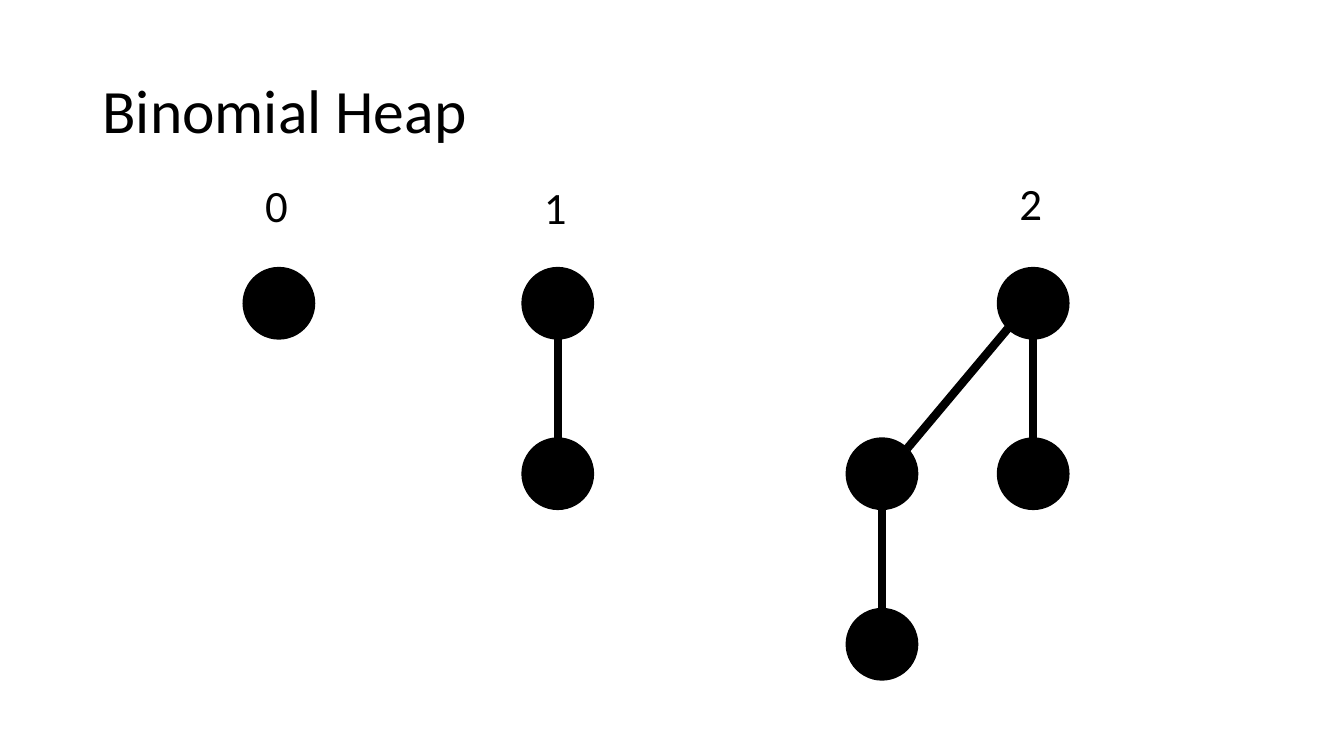
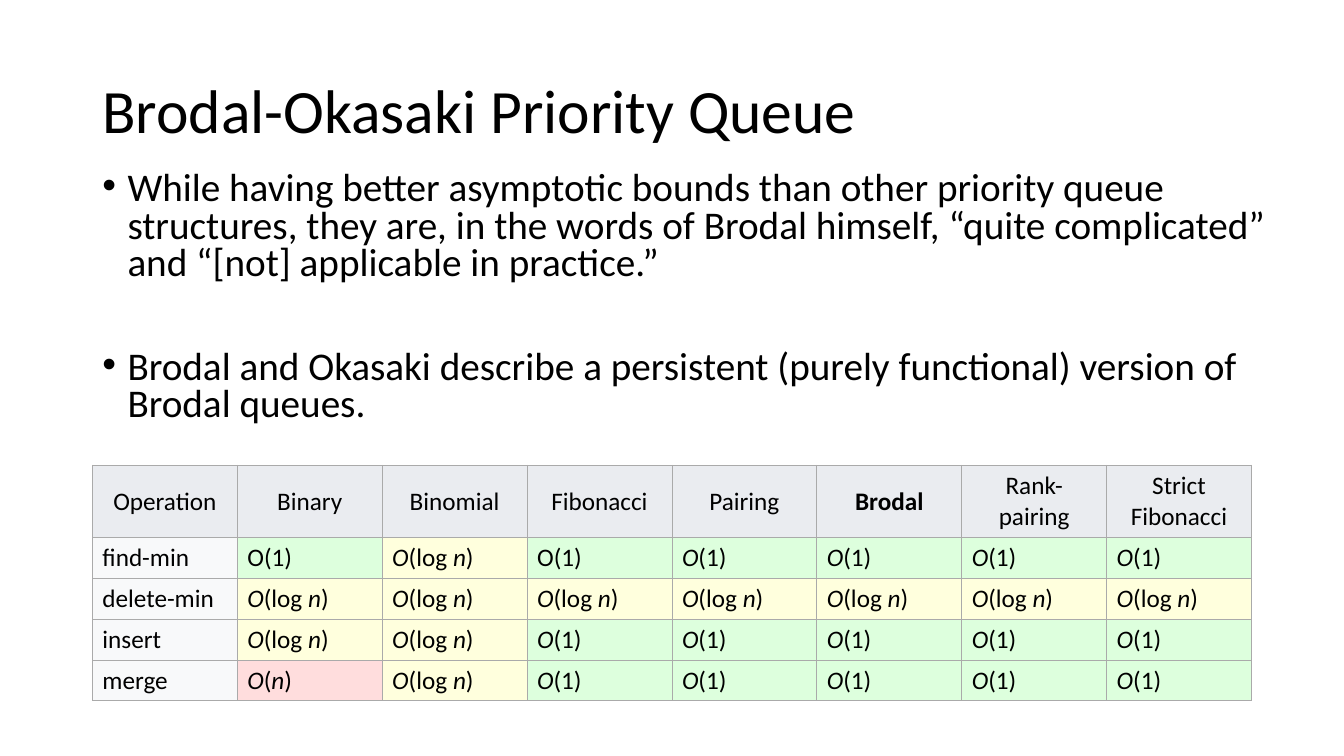
from math import sqrt

from lxml.etree import SubElement
from pptx import Presentation
from pptx.dml.color import RGBColor
from pptx.enum.shapes import MSO_CONNECTOR, MSO_SHAPE
from pptx.enum.text import MSO_ANCHOR, PP_ALIGN
from pptx.oxml.ns import qn
from pptx.util import Emu, Pt

COLUMNS, ROWS = 160, 90
CELL = 76200
INK, BORDER, HEADER, STUB = "000000", "AAAAAA", "EAECF0", "F8F9FA"
GREEN, YELLOW, RED = "DDFFDD", "FFFFDD", "FFDDDD"


def grid(*cells):
    return [Emu(round(cell * CELL)) for cell in cells]


def paint(color_format, color):
    color_format.rgb = RGBColor.from_string(color)


def fill(target, color):
    target.fill.solid()
    paint(target.fill.fore_color, color)


def assign(target, values):
    for name, value in values.items():
        setattr(target, name, value)


class Slides:
    font = "Calibri"
    margin = 11
    width = 138
    node = 8.5
    level = 20.3
    step = 18
    root = 36.1

    def __init__(self):
        self.deck = Presentation()
        assign(self.deck, dict(zip(("slide_width", "slide_height"), grid(COLUMNS, ROWS))))

    def page(self, title):
        self.slide = self.deck.slides.add_slide(self.deck.slide_layouts[5])
        box = self.slide.shapes.title
        places = grid(self.margin, 4.8, self.width, 17.4)
        assign(box, dict(zip(("left", "top", "width", "height"), places)))
        assign(box.text_frame, {"vertical_anchor": MSO_ANCHOR.MIDDLE, "word_wrap": True})
        self.add_text(box.text_frame.paragraphs[0], title, 44,
                      {"alignment": PP_ALIGN.LEFT, "line_spacing": 0.9})

    def add_text(self, para, text, size, layout=None, bold=False):
        assign(para, layout or {})
        for index, part in enumerate(text.split("*")):
            if part:
                span = para.add_run()
                span.text = part
                assign(span.font, {"name": self.font, "size": Pt(size),
                                   "bold": bold, "italic": index % 2 == 1})
                paint(span.font.color, INK)

    def text_box(self, left, top, width, height):
        frame = self.slide.shapes.add_textbox(*grid(left, top, width, height)).text_frame
        frame.word_wrap = True
        return frame

    def label(self, text, center, top):
        frame = self.text_box(center - 2.82, top, 5.64, 7.7)
        self.add_text(frame.paragraphs[0], text, 32)

    def bullets(self, texts, left, top, width, height):
        frame = self.text_box(left, top, width, height)
        for index, text in enumerate(texts):
            para = frame.add_paragraph() if index else frame.paragraphs[0]
            self.add_text(para, text, 28, {"line_spacing": 0.8,
                                           "space_before": Pt(47 if index else 10)})
            properties = para._p.get_or_add_pPr()
            properties.set("marL", "228600")
            properties.set("indent", "-228600")
            SubElement(properties, qn("a:buFont"), typeface="Arial")
            SubElement(properties, qn("a:buChar"), char="•")

    def circle(self, x, y):
        radius = self.node / 2
        shape = self.slide.shapes.add_shape(
            MSO_SHAPE.OVAL, *grid(x - radius, y - radius, self.node, self.node))
        shape.shadow.inherit = False
        fill(shape, INK)
        fill(shape.line, INK)
        shape.line.width = Pt(1)

    def edge(self, x, y, child_x, child_y):
        radius = self.node / 2
        across, down = (0, radius) if x == child_x else (-radius / sqrt(2), radius / sqrt(2))
        line = self.slide.shapes.add_connector(
            MSO_CONNECTOR.STRAIGHT,
            *grid(x + across, y + down, child_x - across, child_y - down))
        fill(line.line, INK)
        line.line.width = Pt(6)
        SubElement(line._element.spPr, qn("a:effectLst"))

    def binomial_tree(self, order, x, y):
        self.circle(x, y)
        for child in range(order):
            child_x, child_y = x - self.step * child, y + self.level
            self.binomial_tree(child, child_x, child_y)
            self.edge(x, y, child_x, child_y)

    def cell(self, cell, text, color, centered=False, bold=False):
        cell.vertical_anchor = MSO_ANCHOR.MIDDLE
        alignment = PP_ALIGN.CENTER if centered else PP_ALIGN.LEFT
        self.add_text(cell.text_frame.paragraphs[0], text, 18, {"alignment": alignment}, bold)
        properties = cell._tc.get_or_add_tcPr()
        for side in "LRTB":
            line = SubElement(properties, qn(f"a:ln{side}"), w=str(Pt(0.6)))
            SubElement(SubElement(line, qn("a:solidFill")), qn("a:srgbClr"), val=BORDER)
        fill(cell, color)

    def table(self, headings, operations, costs, strong, top, header_height, row_height):
        height = header_height + row_height * len(operations)
        frame = self.slide.shapes.add_table(
            len(operations) + 1, len(headings), *grid(self.margin, top, self.width, height))
        table = frame.table
        assign(table, {"first_row": False, "horz_banding": False})
        for index, row in enumerate(table.rows):
            row.height = grid(row_height if index else header_height)[0]
        for column, heading in enumerate(headings):
            self.cell(table.cell(0, column), heading, HEADER, True, heading == strong)
        for row, (operation, bounds) in enumerate(operations.items(), 1):
            self.cell(table.cell(row, 0), operation, STUB)
            for column, bound in enumerate(bounds, 1):
                self.cell(table.cell(row, column), bound, costs[bound])


slides = Slides()

slides.page("Binomial Heap")
for order, (center, label_top) in enumerate([(33.2, 20.6), (66.4, 20.8), (123, 20.3)]):
    slides.binomial_tree(order, center, slides.root)
    slides.label(str(order), center, label_top)

slides.page("Brodal-Okasaki Priority Queue")
slides.bullets([
    "While having better asymptotic bounds than other priority queue structures, they are, "
    "in the words of Brodal himself, “quite complicated” and “[not] applicable in practice.”",
    "Brodal and\u00a0Okasaki\u00a0describe a\u00a0persistent\u00a0(purely functional) "
    "version of Brodal queues.",
], slides.margin, 19.8, 142.4, 34.7)

PLAIN, CONSTANT, LOG, LINEAR = "O(1)", "*O*(1)", "*O*(log\u00a0*n*)", "*O*(*n*)"
slides.table(
    ["Operation", "Binary", "Binomial", "Fibonacci", "Pairing", "Brodal",
     "Rank-pairing", "Strict Fibonacci"],
    {"find-min": [PLAIN, LOG, PLAIN] + [CONSTANT] * 4,
     "delete-min": [LOG] * 7,
     "insert": [LOG] * 2 + [CONSTANT] * 5,
     "merge": [LINEAR, LOG] + [CONSTANT] * 5},
    {PLAIN: GREEN, CONSTANT: GREEN, LOG: YELLOW, LINEAR: RED},
    strong="Brodal", top=55.4, header_height=8.6, row_height=4.86)

slides.deck.save("out.pptx")
